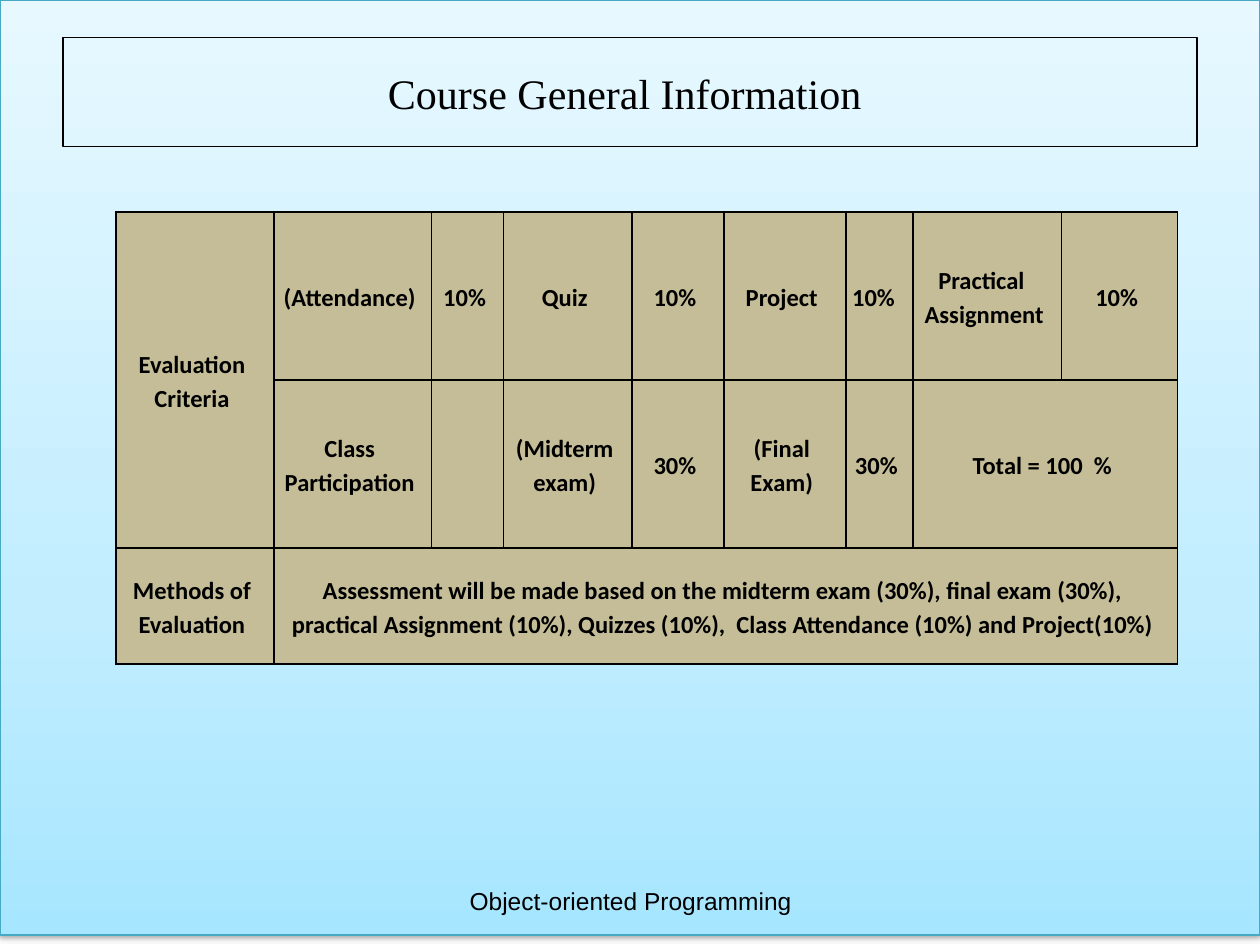
from lxml import etree
from pptx import Presentation
from pptx.dml.color import RGBColor
from pptx.enum import shapes, text
from pptx.oxml import parse_xml
from pptx.oxml.ns import nsdecls, qn
from pptx.util import Cm, Pt

TITLE = "Course General Information "
FOOTER = "Object-oriented Programming"
ROWS = [
    ["Evaluation Criteria", "(Attendance)", "10%", "Quiz", "10%", "Project",
     "10% ", "Practical \nAssignment", "10%"],
    ["", "Class Participation", "", "(Midterm exam)", "30%", "(Final Exam)",
     "30%", "Total = 100  %", ""],
    ["Methods of Evaluation",
     "Assessment will be made based on the midterm exam (30%), final exam (30%), "
     "practical Assignment (10%), Quizzes (10%),  Class Attendance (10%) "
     "and Project(10%)"] + [""] * 7,
]
SPANS = [((0, 0), (1, 0)), ((1, 7), (1, 8)), ((2, 1), (2, 8))]
WIDTHS = [3.18, 3.18, 1.45, 2.59, 1.85, 2.46, 1.35, 3, 2.34]
HEIGHTS = [3.39, 3.39, 2.34]
INK = {"text": "000000", "cell": "C4BD97", "edge": "46AAC5"}
SKY = [(0, "A7E6FF"), (35, "C1EDFF"), (100, "E7F8FF")]


def write(frame, words, size=14, font="Calibri", bold=False, lead=None):
    frame.word_wrap = True
    frame.vertical_anchor = text.MSO_ANCHOR.MIDDLE
    for i, line in enumerate(words.split("\n")):
        para = frame.add_paragraph() if i else frame.paragraphs[0]
        para.alignment = text.PP_ALIGN.CENTER
        para.line_spacing = lead
        run = para.add_run()
        run.text = line
        run.font.size, run.font.name, run.font.bold = Pt(size), font, bold
        run.font.color.rgb = RGBColor.from_string(INK["text"])


def box(slide, place, edge):
    shape = slide.shapes.add_shape(shapes.MSO_SHAPE.RECTANGLE, *map(Cm, place))
    shape.shadow.inherit = False
    shape.fill.background()
    shape.line.color.rgb = RGBColor.from_string(INK[edge])
    shape.line.width = Pt(0.75)
    return shape


def shade(shape):
    """Give the backdrop its upward gradient and soft drop shadow."""
    stops = "".join(f'<a:gs pos="{at * 1000}"><a:srgbClr val="{tint}"/></a:gs>'
                    for at, tint in SKY)
    props = shape.element.spPr
    props.replace(props.find(qn("a:noFill")), parse_xml(
        f'<a:gradFill {nsdecls("a")} rotWithShape="1"><a:gsLst>{stops}</a:gsLst>'
        '<a:lin ang="16200000" scaled="0"/></a:gradFill>'))
    props.find(qn("a:effectLst")).append(parse_xml(
        f'<a:outerShdw {nsdecls("a")} blurRad="{Pt(3.1)}" dist="{Pt(1.6)}" '
        'dir="5400000" rotWithShape="0"><a:srgbClr val="000000">'
        '<a:alpha val="38000"/></a:srgbClr></a:outerShdw>'))


def rule(cell):
    """Draw a thin line on all four sides of a cell."""
    props = cell._tc.get_or_add_tcPr()
    for side in "LRTB":
        line = etree.SubElement(props, qn(f"a:ln{side}"), w=str(Pt(1)))
        fill = etree.SubElement(line, qn("a:solidFill"))
        etree.SubElement(fill, qn("a:srgbClr"), val=INK["text"])


def grid(slide):
    place = (2.34, 4.27, sum(WIDTHS), sum(HEIGHTS))
    table = slide.shapes.add_table(len(HEIGHTS), len(WIDTHS), *map(Cm, place)).table
    table.first_row = table.horz_banding = False
    for col, width in zip(table.columns, WIDTHS):
        col.width = Cm(width)
    for row, height in zip(table.rows, HEIGHTS):
        row.height = Cm(height)
    for first, last in SPANS:
        table.cell(*first).merge(table.cell(*last))
    for r, row in enumerate(ROWS):
        for c, words in enumerate(row):
            cell = table.cell(r, c)
            rule(cell)
            cell.fill.solid()
            cell.fill.fore_color.rgb = RGBColor.from_string(INK["cell"])
            cell.margin_left, cell.margin_right = Cm(0.08), Cm(0.2)
            cell.margin_top = cell.margin_bottom = 0
            cell.vertical_anchor = text.MSO_ANCHOR.MIDDLE
            if words:
                write(cell.text_frame, words, bold=True, lead=1.15)


def main():
    deck = Presentation()
    deck.slide_width, deck.slide_height = Cm(25.4), Cm(19.05)
    slide = deck.slides.add_slide(deck.slide_layouts[6])
    shade(box(slide, (0, 0, 25.4, 18.85), "edge"))
    foot = slide.shapes.add_textbox(*map(Cm, (8.69, 17.65, 8.05, 1.02)))
    write(foot.text_frame, FOOTER, font="Arial")
    head = box(slide, (1.27, 0.76, 22.86, 2.2), "text")
    write(head.text_frame, TITLE, size=24, font="Times New Roman")
    grid(slide)
    deck.save("out.pptx")


if __name__ == "__main__":
    main()
